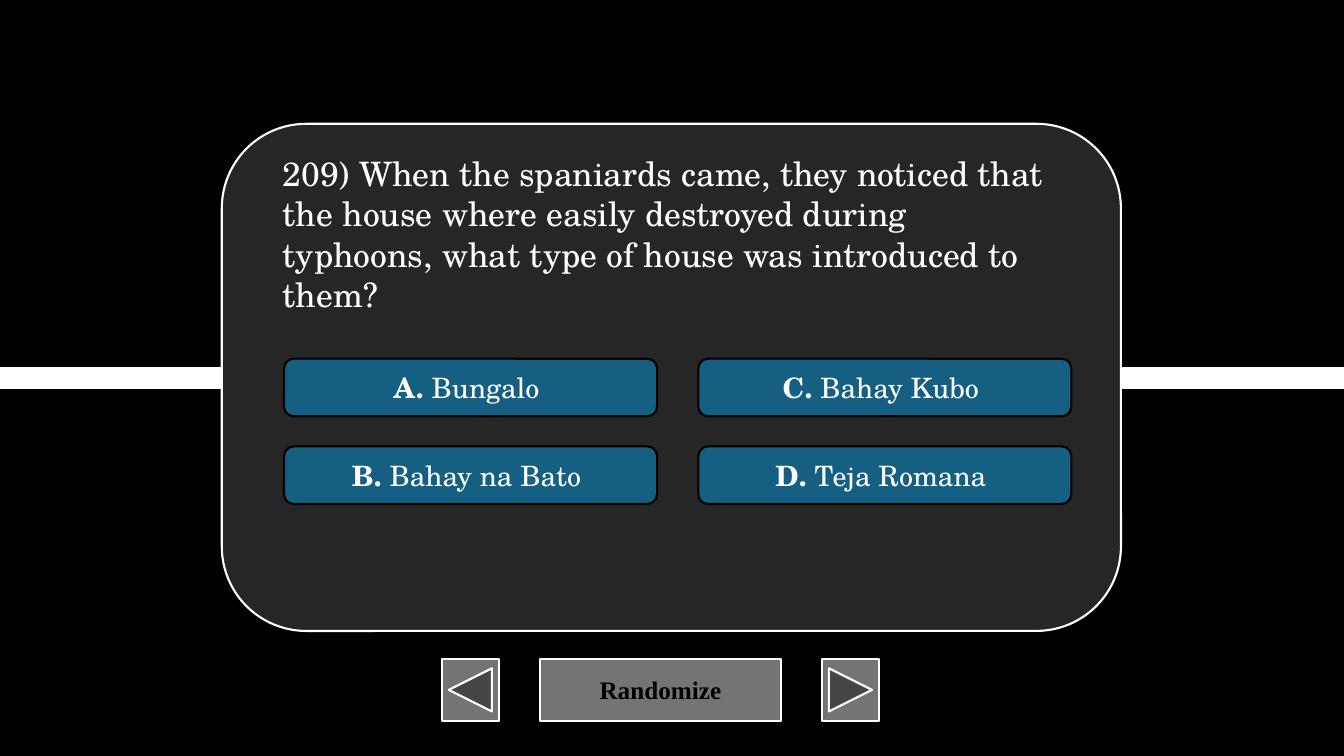
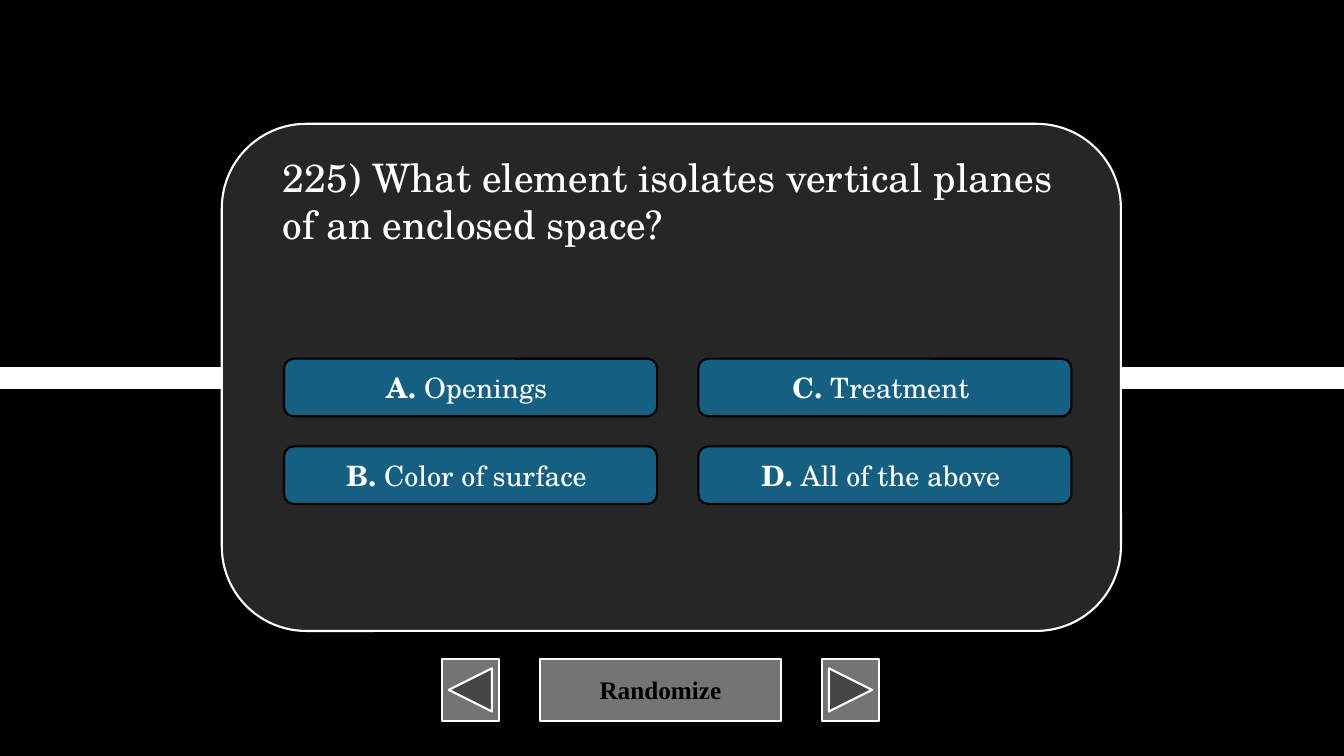
from dataclasses import dataclass

from lxml.etree import SubElement
from pptx import Presentation
from pptx.dml.color import RGBColor
from pptx.enum.shapes import MSO_CONNECTOR, MSO_SHAPE as Preset
from pptx.enum.text import MSO_ANCHOR as Anchor, MSO_AUTO_SIZE as AutoSize, PP_ALIGN as Align
from pptx.oxml.ns import qn
from pptx.util import Cm, Pt

# Content: question, type size, box height in cm, answers A to D
QUESTIONS = [
    {
        "text": "209) When the spaniards came, they noticed that the house where easily "
                "destroyed during typhoons, what type of house was introduced to them?",
        "size": 24,
        "height": 3.33,
        "answers": ["Bungalo ", "Bahay na Bato ", "Bahay Kubo ", "Teja Romana "],
    },
    {
        "text": "225) What element isolates vertical planes of an enclosed space?",
        "size": 28,
        "height": 2.64,
        "answers": ["Openings ", "Color of surface ", "Treatment ", "All of the above "],
    },
]
# Navigation row: preset, width in cm, label
NAVIGATION = [
    (Preset.ACTION_BUTTON_BACK_OR_PREVIOUS, 1.45, ""),
    (Preset.ACTION_BUTTON_CUSTOM, 6.07, "Randomize"),
    (Preset.ACTION_BUTTON_FORWARD_OR_NEXT, 1.45, ""),
]


@dataclass(frozen=True)
class Theme:
    black: str = "000000"
    white: str = "FFFFFF"
    card: str = "262626"
    answer: str = "156082"
    button: str = "747474"
    body_font: str = "TeX Gyre Schola"
    button_font: str = "Times New Roman"
    answer_size: int = 20
    button_size: int = 18
    outline: float = 1.5
    band: float = 16


THEME = Theme()

# Layout in cm
SLIDE_WIDTH, SLIDE_HEIGHT = 33.87, 19.05
CARD = (5.59, 3.12, 22.66, 12.78)
QUESTION_LEFT, QUESTION_TOP, QUESTION_WIDTH = 6.88, 3.73, 20.12
ANSWER_LEFT, ANSWER_TOP, ANSWER_WIDTH, ANSWER_HEIGHT = 7.16, 9.04, 9.4, 1.45
COLUMN_STEP, ROW_STEP, ROWS = 10.44, 2.21, 2
BUTTON_LEFT, BUTTON_TOP, BUTTON_HEIGHT, BUTTON_GAP = 11.13, 16.61, 1.55, 1.03


def set_all(target, values):
    for name, value in values.items():
        setattr(target, name, value)


def add_run(paragraph, text, font, size, color, bold=False):
    run = paragraph.add_run()
    run.text = text
    set_all(run.font, {"name": font, "size": Pt(size), "bold": bold})
    run.font.color.rgb = RGBColor.from_string(color)


def add_panel(slide, preset, box, fill, line):
    shape = slide.shapes.add_shape(preset, *map(Cm, box))
    shape.shadow.inherit = False
    shape.fill.solid()
    shape.fill.fore_color.rgb = RGBColor.from_string(fill)
    shape.line.color.rgb = RGBColor.from_string(line)
    shape.line.width = Pt(THEME.outline)
    shape.text_frame.vertical_anchor = Anchor.MIDDLE
    paragraph = shape.text_frame.paragraphs[0]
    paragraph.alignment = Align.CENTER
    return paragraph


def add_band(slide):
    middle = Cm(SLIDE_HEIGHT / 2)
    band = slide.shapes.add_connector(
        MSO_CONNECTOR.STRAIGHT, 0, middle, Cm(SLIDE_WIDTH), middle)
    band.line.color.rgb = RGBColor.from_string(THEME.white)
    band.line.width = Pt(THEME.band)
    SubElement(band._element.spPr, qn("a:effectLst"))


def add_navigation(slide):
    left = BUTTON_LEFT
    for preset, width, label in NAVIGATION:
        paragraph = add_panel(slide, preset, (left, BUTTON_TOP, width, BUTTON_HEIGHT),
                              THEME.button, THEME.white)
        if label:
            add_run(paragraph, label, THEME.button_font, THEME.button_size,
                    THEME.black, bold=True)
        left += width + BUTTON_GAP


def add_answers(slide, answers):
    for index, (letter, answer) in enumerate(zip("ABCD", answers)):
        column, row = divmod(index, ROWS)
        box = (ANSWER_LEFT + column * COLUMN_STEP, ANSWER_TOP + row * ROW_STEP,
               ANSWER_WIDTH, ANSWER_HEIGHT)
        paragraph = add_panel(slide, Preset.ROUNDED_RECTANGLE, box,
                              THEME.answer, THEME.black)
        for text, bold in ((f"{letter}. ", True), (answer, False)):
            add_run(paragraph, text, THEME.body_font, THEME.answer_size,
                    THEME.white, bold)


def add_question(slide, question):
    box = (QUESTION_LEFT, QUESTION_TOP, QUESTION_WIDTH, question["height"])
    frame = slide.shapes.add_textbox(*map(Cm, box)).text_frame
    set_all(frame, {"word_wrap": True, "auto_size": AutoSize.SHAPE_TO_FIT_TEXT})
    add_run(frame.paragraphs[0], question["text"], THEME.body_font,
            question["size"], THEME.white)


def main():
    presentation = Presentation()
    set_all(presentation, {"slide_width": Cm(SLIDE_WIDTH), "slide_height": Cm(SLIDE_HEIGHT)})
    background = presentation.slide_master.background.fill
    background.solid()
    background.fore_color.rgb = RGBColor.from_string(THEME.black)

    for question in QUESTIONS:
        slide = presentation.slides.add_slide(presentation.slide_layouts[6])
        add_band(slide)
        add_navigation(slide)
        add_panel(slide, Preset.ROUNDED_RECTANGLE, CARD, THEME.card, THEME.white)
        add_answers(slide, question["answers"])
        add_question(slide, question)

    presentation.save("out.pptx")


if __name__ == "__main__":
    main()
